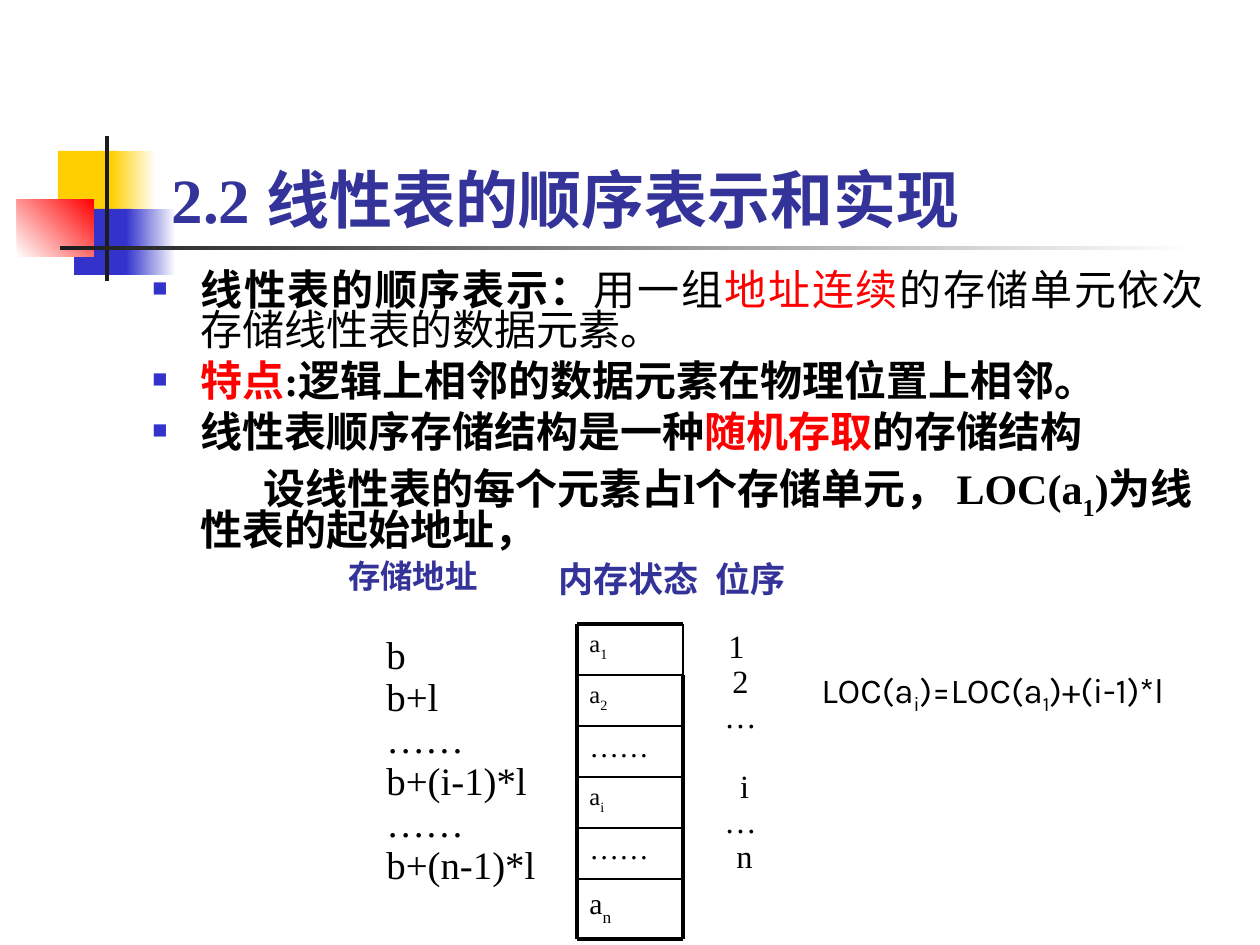
"""Build the slide on the sequential representation of linear lists."""
import dataclasses

import lxml.etree
import pptx
import pptx.dml.color
import pptx.enum.shapes
import pptx.enum.text
import pptx.oxml.ns
import pptx.util

ALIGN = pptx.enum.text.PP_ALIGN
ANCHOR = pptx.enum.text.MSO_ANCHOR


@dataclasses.dataclass(frozen=True)
class Theme:
    serif: str = "Times New Roman"
    sans: str = "Karla"
    black: str = "000000"
    white: str = "FFFFFF"
    red: str = "FF0000"
    yellow: str = "FFCF01"
    blue: str = "3333CC"
    navy: str = "333399"
    dark: str = "1C1C1C"
    title: float = 36
    body: float = 24
    address: float = 22.2
    label: float = 20
    small: float = 18.5
    cell: float = 17
    element: float = 14
    thick: float = 2.25
    thin: float = 1


T = Theme()


def px(n):
    return pptx.util.Emu(round(n * 914400 / 126))


def rgb(color):
    return pptx.dml.color.RGBColor.from_string(color)


def add_xml(parent, tag, **attrs):
    return lxml.etree.SubElement(parent, pptx.oxml.ns.qn(tag), attrs)


def add_block(s, box, start, end=None, angle=0):
    sp = s.shapes.add_shape(pptx.enum.shapes.MSO_SHAPE.RECTANGLE, *map(px, box))
    sp.shadow.inherit = False
    sp.line.fill.background()
    if end is None:
        sp.fill.solid()
        sp.fill.fore_color.rgb = rgb(start)
        return
    sp.fill.gradient()
    sp.fill.gradient_angle = angle
    for stop, color in zip(sp.fill.gradient_stops, (start, end)):
        stop.color.rgb = rgb(color)


def add_line(s, x1, y1, x2, y2, width):
    kind = pptx.enum.shapes.MSO_CONNECTOR.STRAIGHT
    line = s.shapes.add_connector(kind, *map(px, (x1, y1, x2, y2)))
    line.line.color.rgb = rgb(T.black)
    line.line.width = pptx.util.Pt(width)
    add_xml(line._element.spPr, "a:effectLst")


def style_run(r, size, color=T.black, bold=False, font=T.serif, base=0):
    r.font.name = font
    r.font.size = pptx.util.Pt(size)
    r.font.bold = bold
    r.font.color.rgb = rgb(color)
    if base:
        r._r.get_or_add_rPr().set("baseline", str(base * 1000))


def add_runs(p, runs, size, **style):
    """Add runs given as plain strings or (text, style overrides) pairs."""
    for run in runs:
        text, extra = (run, {}) if isinstance(run, str) else run
        r = p.add_run()
        r.text = text
        style_run(r, size, **{**style, **extra})


def add_text(s, box, paragraphs, size, align=ALIGN.LEFT, spacing=0.9, **style):
    tf = s.shapes.add_textbox(*map(px, box)).text_frame
    tf.word_wrap = True
    for i, runs in enumerate(paragraphs):
        p = tf.paragraphs[0] if i == 0 else tf.add_paragraph()
        p.alignment = align
        p.line_spacing = spacing
        add_runs(p, runs, size, **style)
    return tf


def sub(text, base=-30):
    return text, {"base": base}


def add_title(s, text):
    sp = s.shapes.title
    sp.left, sp.top, sp.width, sp.height = map(px, (159, 84, 1074, 158))
    tf = sp.text_frame
    tf.text = text
    tf.auto_size = pptx.enum.text.MSO_AUTO_SIZE.NONE
    tf.vertical_anchor = ANCHOR.BOTTOM
    tf.paragraphs[0].alignment = ALIGN.LEFT
    style_run(tf.paragraphs[0].runs[0], T.title, T.navy, True)
    sp._element.getparent().append(sp._element)


def add_decoration(s):
    add_block(s, (58, 151, 60, 66), T.yellow)
    add_block(s, (111, 151, 45, 66), T.yellow, T.white)
    add_block(s, (74, 209, 58, 66), T.blue)
    add_block(s, (126, 209, 50, 66), T.blue, T.white)
    add_block(s, (17, 199, 77, 58), T.white, T.red, 45)
    add_block(s, (105, 136, 4, 145), T.dark)
    add_block(s, (60, 246, 1134, 4), T.dark, T.white)


def add_body(s):
    plain = {"bold": False}
    red = {"color": T.red}
    paragraphs = [
        ["线性表的顺序表示：", ("用一组", plain), ("地址连续", {**plain, **red}),
         ("的存储单元依次存储线性表的数据元素。", plain)],
        [("特点", red), ":逻辑上相邻的数据元素在物理位置上相邻。"],
        ["线性表顺序存储结构是一种", ("随机存取", red), "的存储结构"],
        ["\t\t设线性表的每个元素占l个存储单元， LOC(a", sub("1"), ")为线性表的起始地址，"],
    ]
    tf = add_text(s, (140, 267, 1076, 305), paragraphs, T.body, ALIGN.JUSTIFY, 0.8, bold=True)
    *bulleted, last = tf.paragraphs
    for p in tf.paragraphs[1:]:
        p.space_before = pptx.util.Pt(6)
    for p in tf.paragraphs:
        pPr = p._p.get_or_add_pPr()
        pPr.set("marL", str(px(48)))
        pPr.set("indent", str(-px(48)))
    for p in bulleted:
        pPr = p._p.get_or_add_pPr()
        add_xml(add_xml(pPr, "a:buClr"), "a:srgbClr", val=T.blue)
        add_xml(pPr, "a:buSzPct", val="60000")
        add_xml(pPr, "a:buFont", typeface=T.serif)
        add_xml(pPr, "a:buChar", char="■")
    last.alignment = ALIGN.LEFT
    tabs = add_xml(last._p.get_or_add_pPr(), "a:tabLst")
    add_xml(tabs, "a:tab", pos=str(px(126)), algn="l")


def add_memory(s):
    left, right, top, row, bottom = 577, 683, 624, 51, 939
    cells = [["a", sub("1")], ["a", sub("2")], ["……"], ["a", sub("i")], ["……"], ["a", sub("n")]]
    edges = [top + row * i for i in range(len(cells))] + [bottom]
    for i, runs in enumerate(cells):
        is_element = len(runs) == 2 and i < len(cells) - 1
        size, spacing = (T.element, 0.8) if is_element else (T.cell, 0.9)
        box = (left, edges[i], right - left, edges[i + 1] - edges[i])
        add_text(s, box, [runs], size, spacing=spacing)
    for y in edges:
        add_line(s, left, y, right, y, T.thick if y in (top, bottom) else T.thin)
    add_line(s, left, top, left, bottom, T.thick)
    add_line(s, right, top, right, edges[1], T.thin)
    add_line(s, right, edges[1], right, bottom, T.thick)


def main():
    prs = pptx.Presentation()
    prs.slide_width, prs.slide_height = px(1260), px(945)
    s = prs.slides.add_slide(prs.slide_layouts[5])
    add_decoration(s)
    add_title(s, "2.2 线性表的顺序表示和实现")
    add_body(s)

    addresses = [["b"], ["b+l"], ["……"], ["b+(i-1)*l"], ["……"], ["b+(n-1)*l"]]
    add_text(s, (374, 630, 221, 294), addresses, T.address)
    heading = {"color": T.navy, "bold": True}
    add_text(s, (336, 554, 179, 54), [["存储地址"]], T.small, **heading)
    ranks = [["1 "], ["2"], ["…"], [" i"], ["…"], [" n"]]
    tf = add_text(s, (693, 624, 95, 305), ranks, T.small, ALIGN.CENTER)
    tf.paragraphs[3].space_before = pptx.util.Pt(20)
    add_text(s, (703, 551, 98, 63), [["位序"]], T.label, spacing=1, **heading)
    add_text(s, (546, 551, 193, 55), [["内存状态"]], T.label, spacing=1, **heading)

    add_memory(s)
    formula = ["LOC(a", sub("i", -25), ")=LOC(a", sub("1", -25), ")+(i-1)*l"]
    add_text(s, (809, 662, 420, 60), [formula], T.label, spacing=1, font=T.sans)
    prs.save("out.pptx")


if __name__ == "__main__":
    main()
